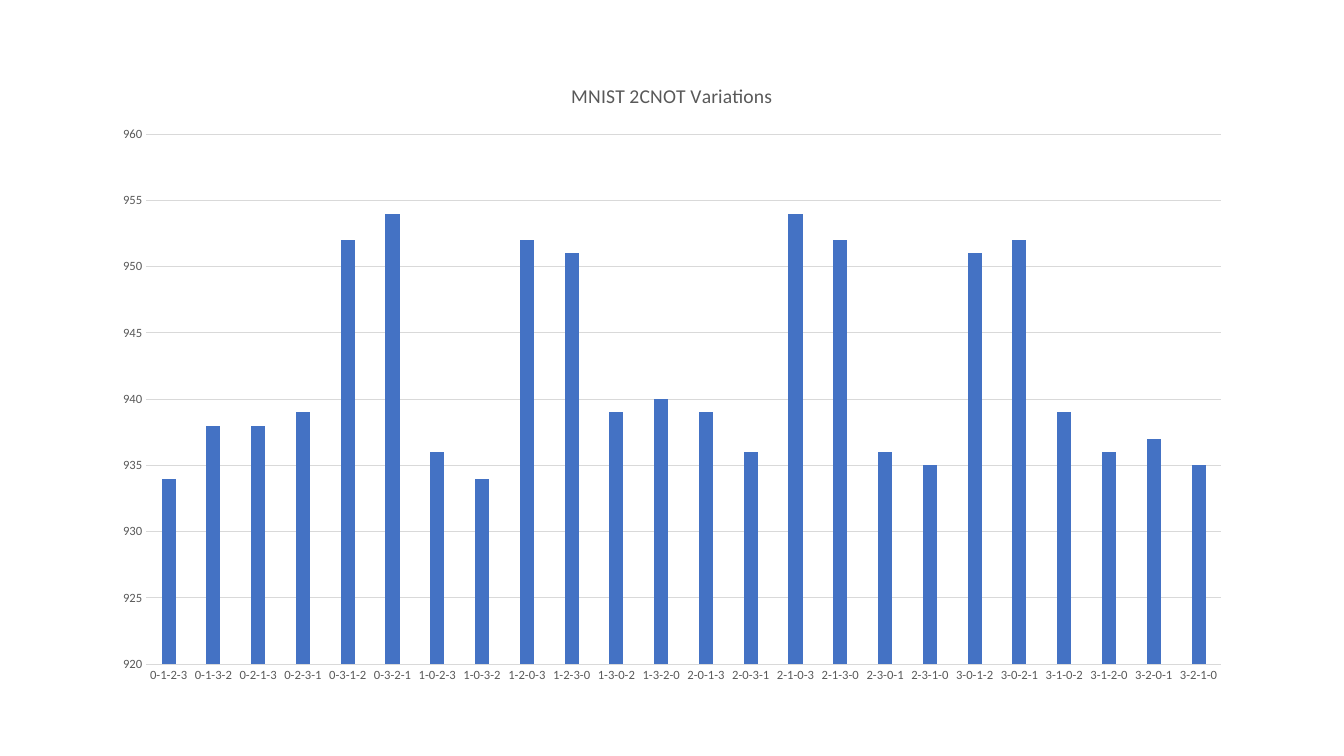
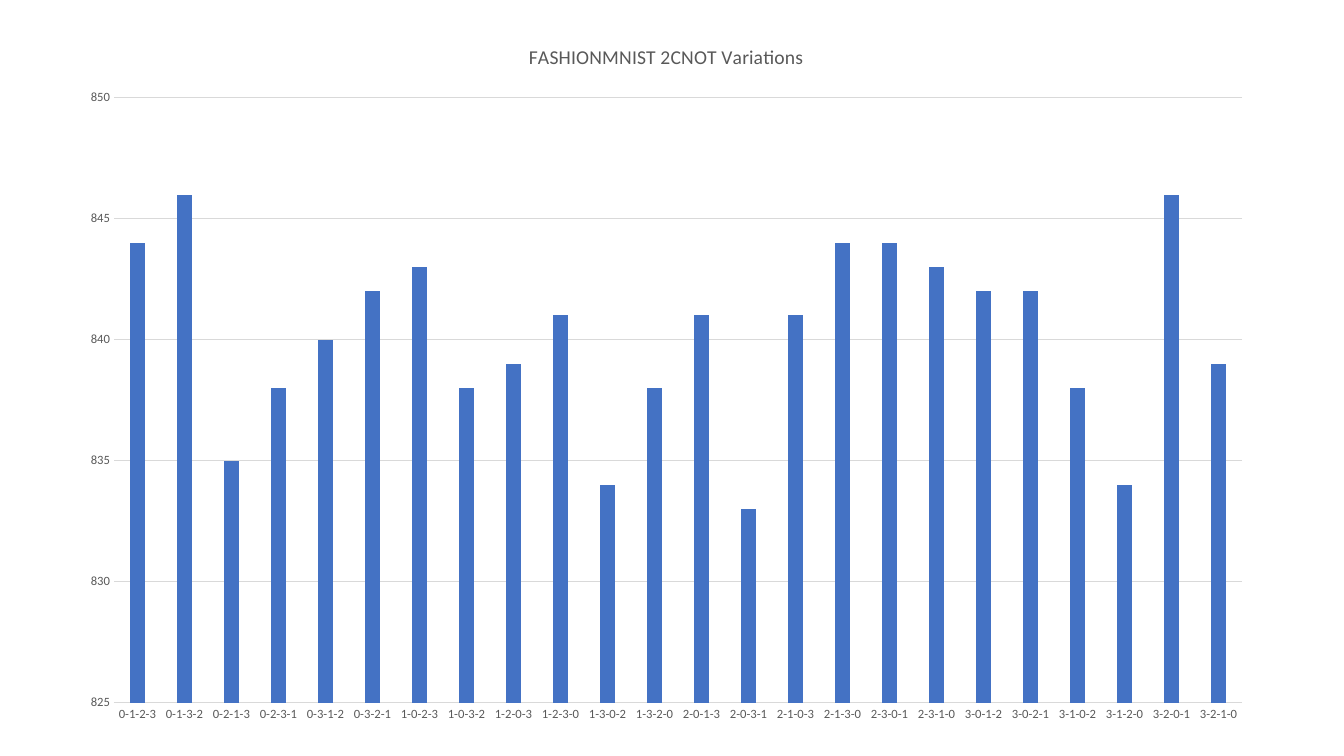
from itertools import permutations

from pptx import Presentation, util as u
from pptx.chart.data import CategoryChartData
from pptx.dml.color import RGBColor
from pptx.enum import chart as ch
from pptx.oxml import parse_xml
from pptx.oxml.ns import nsdecls, qn

PX = 9144  # 100 px to the inch
GREY, RULE, BAR = "595959", "D9D9D9", "4472C4"
FONT = "Calibri"
CATS = ["-".join(p) for p in permutations("0123")]


def style(font, size, color):
    for key, val in dict(name=FONT, size=u.Pt(size), bold=False).items():
        setattr(font, key, val)
    font.color.rgb = RGBColor.from_string(color)


def place(node, index, **parts):
    """Give a chart part a fixed layout, in fractions of the chart."""
    for old in node.findall(qn("c:layout")):
        node.remove(old)
    modes = "".join(f'<c:{k}Mode val="edge"/>' for k in "xy")
    sizes = "".join(f'<c:{k} val="{v:.4f}"/>' for k, v in parts.items())
    inner = '<c:layoutTarget val="inner"/>' if "w" in parts else ""
    node.insert(index, parse_xml(
        f'<c:layout {nsdecls("c")}><c:manualLayout>{inner}{modes}{sizes}'
        "</c:manualLayout></c:layout>"))


# title, chart box, plot box, title corner (px), value range, values
SLIDES = [
    ("MNIST 2CNOT Variations",
     (99, 60, 1134, 630), (145, 133, 1066, 526), (563, 78), (920, 960),
     [934, 938, 938, 939, 952, 954, 936, 934, 952, 951, 939, 940,
      939, 936, 954, 952, 936, 935, 951, 952, 939, 936, 937, 935]),
    ("FASHIONMNIST 2CNOT Variations",
     (66, 20, 1190, 710), (113, 97, 1119, 600), (521, 39), (825, 850),
     [844, 846, 835, 838, 840, 842, 843, 838, 839, 841, 834, 838,
      841, 833, 841, 844, 844, 843, 842, 842, 838, 834, 846, 839]),
]

prs = Presentation()
prs.slide_width, prs.slide_height = 1333 * PX, 750 * PX

for name, box, plot_box, corner, (low, high), vals in SLIDES:
    slide = prs.slides.add_slide(prs.slide_layouts[6])
    data = CategoryChartData()
    data.categories = CATS
    data.add_series("Series 1", vals)
    chart = slide.shapes.add_chart(
        ch.XL_CHART_TYPE.COLUMN_CLUSTERED, *[n * PX for n in box], data).chart
    style(chart.font, 10, "000000")
    chart.has_legend = False

    title = chart.chart_title
    title.text_frame.text = name
    style(title.text_frame.paragraphs[0].runs[0].font, 14, GREY)
    title.include_in_layout = False

    left, top, wide, tall = box
    place(title._element, 1,
          x=(corner[0] - left) / wide, y=(corner[1] - top) / tall)
    place(chart._chartSpace.chart.plotArea, 0,
          x=(plot_box[0] - left) / wide, y=(plot_box[1] - top) / tall,
          w=plot_box[2] / wide, h=plot_box[3] / tall)

    plot = chart.plots[0]
    for key, val in dict(gap_width=219, overlap=-27,
                         vary_by_categories=False).items():
        setattr(plot, key, val)
    fill = plot.series[0].format.fill
    fill.solid()
    fill.fore_color.rgb = RGBColor.from_string(BAR)

    cat, val_axis = chart.category_axis, chart.value_axis
    for axis in (cat, val_axis):
        axis.major_tick_mark = axis.minor_tick_mark = ch.XL_TICK_MARK.NONE
        style(axis.tick_labels.font, 9, GREY)
    for key, val in dict(minimum_scale=low, maximum_scale=high, major_unit=5,
                         has_major_gridlines=True).items():
        setattr(val_axis, key, val)
    val_axis.tick_labels.number_format = "0"
    val_axis.tick_labels.number_format_is_linked = False
    val_axis.format.line.fill.background()
    for line in (cat.format.line, val_axis.major_gridlines.format.line):
        line.color.rgb = RGBColor.from_string(RULE)
        line.width = u.Pt(0.75)

prs.save("out.pptx")
